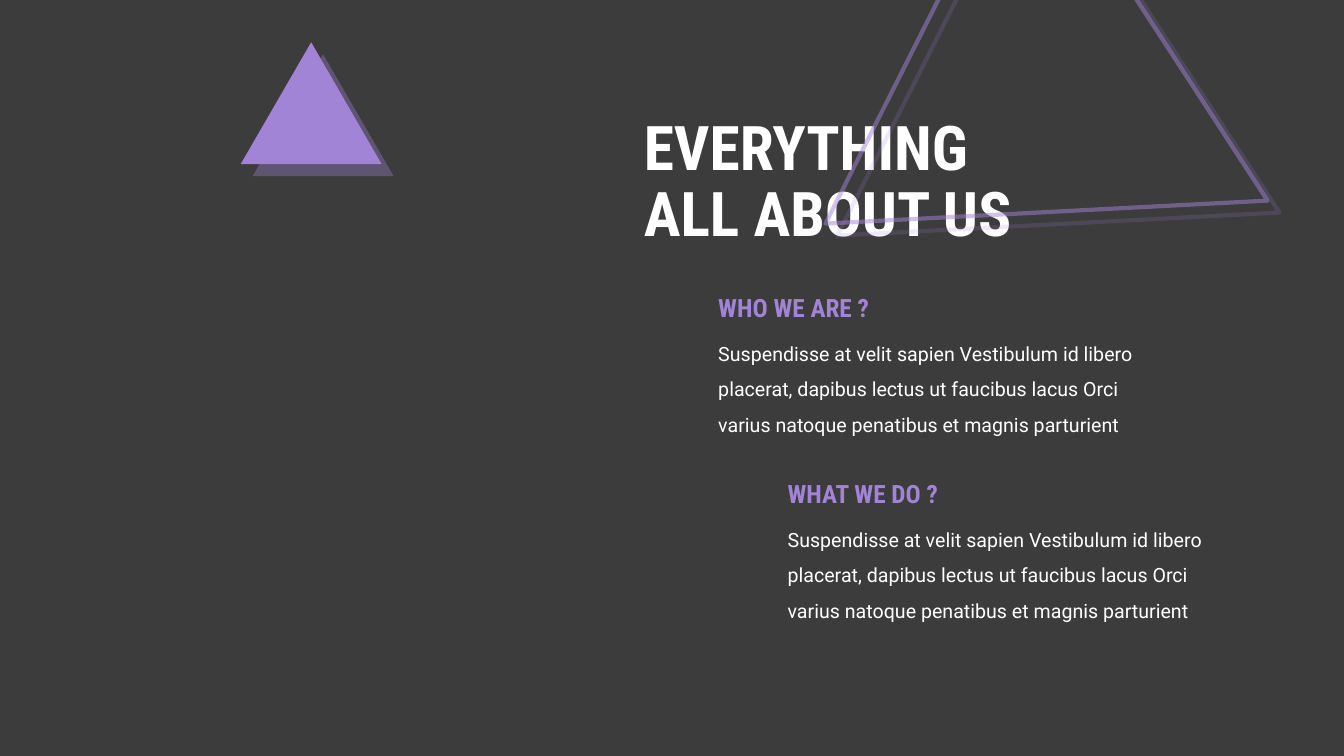
from lxml import etree
from pptx import Presentation
from pptx.dml.color import RGBColor
from pptx.enum import shapes, text
from pptx.oxml import ns
from pptx.util import Pt

COLORS = {"background": "3C3C3C", "accent": "A284D7", "text": "FFFFFF"}
HEADING_FONT = "Roboto Condensed"
BODY_FONT = "Roboto"
BODY_TEXT = (
    "Suspendisse at velit sapien Vestibulum id libero placerat, dapibus lectus "
    "ut faucibus lacus Orci varius natoque penatibus et magnis parturient"
)


def color(name):
    return RGBColor.from_string(COLORS[name])


def add_alpha(color_element, percent):
    etree.SubElement(color_element, ns.qn("a:alpha"), val=str(percent * 1000))


class SlideBuilder:
    def __init__(self, presentation):
        self.slide = presentation.slides.add_slide(presentation.slide_layouts[6])
        fill = self.slide.background.fill
        fill.solid()
        fill.fore_color.rgb = color("background")

    def text_box(self, box, lines, size, font_name, color_name,
                 bold=False, spacing=1.0, anchor=text.MSO_ANCHOR.TOP):
        shape = self.slide.shapes.add_textbox(*map(Pt, box))
        frame = shape.text_frame
        frame.word_wrap = True
        frame.vertical_anchor = anchor
        paragraph = frame.paragraphs[0]
        paragraph.line_spacing = spacing
        for index, line in enumerate(lines):
            if index:
                paragraph.add_line_break()
            run = paragraph.add_run()
            run.text = line
            run.font.size = Pt(size)
            run.font.name = font_name
            run.font.bold = bold
            run.font.color.rgb = color(color_name)

    def triangle(self, box, rotation=0, outlined=False):
        """Add an accent triangle, solid or outlined, with a hard offset shadow."""
        shape = self.slide.shapes.add_shape(
            shapes.MSO_SHAPE.ISOSCELES_TRIANGLE, *map(Pt, box))
        shape.rotation = rotation
        if outlined:
            shape.fill.background()
            shape.line.width = Pt(3)
            shape.line.color.rgb = color("accent")
            add_alpha(shape.line._ln.find(".//" + ns.qn("a:srgbClr")), 50)
        else:
            shape.fill.solid()
            shape.fill.fore_color.rgb = color("accent")
            shape.line.fill.background()
        self.drop_shadow(shape)

    def drop_shadow(self, shape):
        shape.shadow.inherit = False
        effects = shape._element.spPr.find(ns.qn("a:effectLst"))
        shadow = etree.SubElement(
            effects, ns.qn("a:outerShdw"), blurRad="0", dist=str(Pt(12.1)),
            dir=str(45 * 60000), algn="tl", rotWithShape="0")
        tint = etree.SubElement(shadow, ns.qn("a:srgbClr"), val=COLORS["accent"])
        add_alpha(tint, 35)

    def section(self, left, top, heading):
        """Add a heading with its body text below."""
        self.text_box((left, top + 27, 324.7, 82.8), [BODY_TEXT], 14,
                      BODY_FONT, "text", spacing=1.5)
        self.text_box((left, top, 176.4, 29), [heading], 18,
                      HEADING_FONT, "accent", bold=True)


def main():
    presentation = Presentation()
    presentation.slide_width = Pt(960.48)
    presentation.slide_height = Pt(540)

    builder = SlideBuilder(presentation)
    builder.text_box((453, 74.2, 404.6, 113.8), ["EVERYTHING", "ALL ABOUT US"],
                     44, HEADING_FONT, "text", bold=True, spacing=0.9,
                     anchor=text.MSO_ANCHOR.MIDDLE)
    builder.triangle((545.8, -51.8, 317.5, 273.6), rotation=236.9, outlined=True)
    builder.triangle((172, 30.2, 100.8, 87.1))
    builder.section(506.2, 205.4, "WHO WE ARE ?")
    builder.section(555.8, 338.2, "WHAT WE DO ?")

    presentation.save("out.pptx")


if __name__ == "__main__":
    main()
